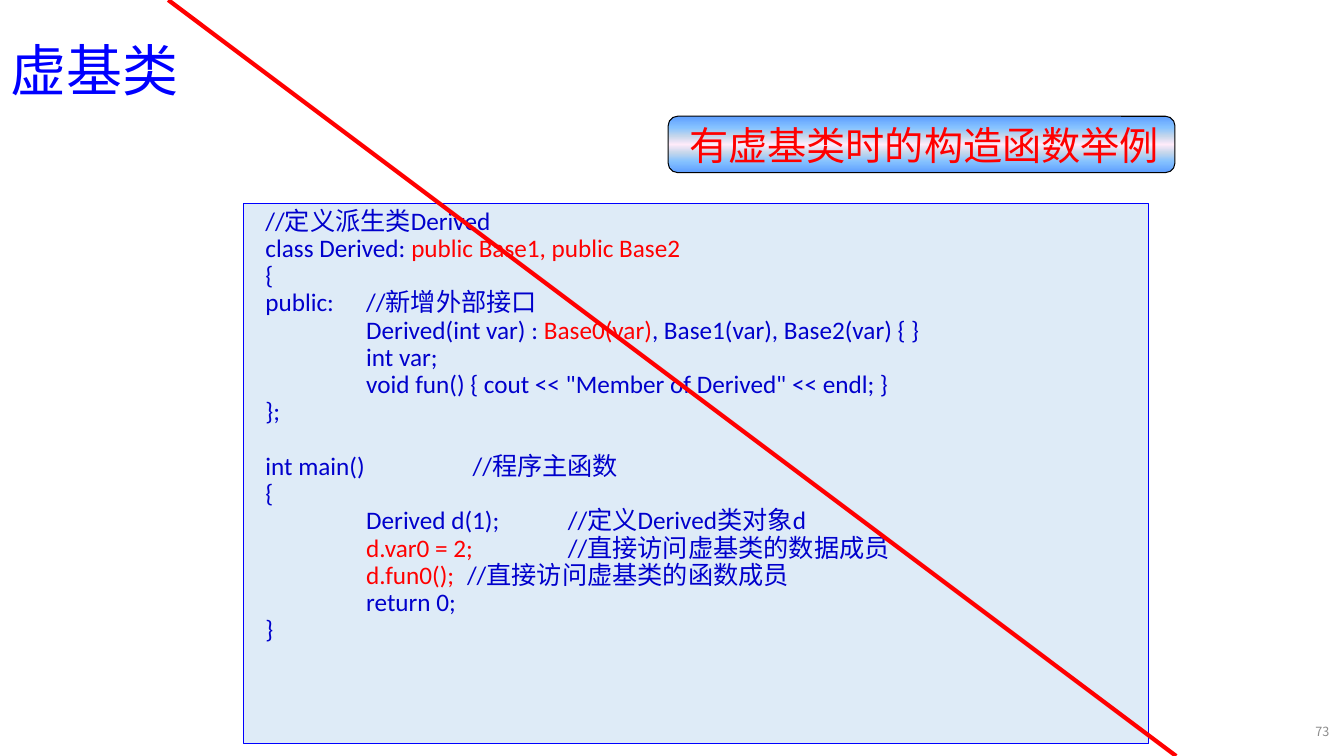
import pptx
import pptx.util
import pptx.dml.color
import pptx.enum.shapes
import pptx.enum.text
import pptx.oxml
import pptx.oxml.ns
from pptx.util import Cm

COLORS = {
    "title": "0000FF", "code": "0000CC", "accent": "FF0000",
    "panel": "DEEBF7", "border": "0000FF", "black": "000000", "number": "8C8C8C",
}
BANNER_STOPS = [(0, "5E9EFF"), (20, "85C2FF"), (35, "C4D6EB"), (50, "FFEBFA"),
                (65, "C4D6EB"), (80, "85C2FF"), (100, "5E9EFF")]
CJK_FONT = "Noto Sans CJK SC"
ALIGN = pptx.enum.text.PP_ALIGN
ANCHOR = pptx.enum.text.MSO_ANCHOR
SHAPE = pptx.enum.shapes.MSO_SHAPE


def rgb(name):
    return pptx.dml.color.RGBColor.from_string(COLORS[name])


def style_run(run, size, font, color):
    run.font.size = pptx.util.Pt(size)
    run.font.name = font
    run.font.color.rgb = rgb(color)
    east_asian = run.font._element.makeelement(
        pptx.oxml.ns.qn("a:ea"), {"typeface": CJK_FONT})
    run.font._element.append(east_asian)


deck = pptx.Presentation()
deck.slide_width, deck.slide_height = Cm(33.87), Cm(19.05)
slide = deck.slides.add_slide(deck.slide_layouts[6])

# Banner with a vertical gradient
banner = slide.shapes.add_shape(
    SHAPE.ROUNDED_RECTANGLE, Cm(16.84), Cm(2.93), Cm(12.77), Cm(1.42))
banner.shadow.inherit = False
banner.line.color.rgb = rgb("black")
banner.line.width = pptx.util.Pt(0.75)
banner.fill.gradient()
banner.fill.gradient_angle = 270
stop_list = banner._element.spPr.find(".//" + pptx.oxml.ns.qn("a:gsLst"))
for stop in list(stop_list):
    stop_list.remove(stop)
for percent, color in BANNER_STOPS:
    stop_list.append(pptx.oxml.parse_xml(
        f'<a:gs {pptx.oxml.ns.nsdecls("a")} pos="{percent * 1000}">'
        f'<a:srgbClr val="{color}"/></a:gs>'))

# Banner caption, title and slide number
labels = [
    ("有虚基类时的构造函数举例", (16.94, 2.92, 12.7, 1.14), 28, "Arial", "accent",
     ALIGN.CENTER, ANCHOR.TOP, 1),
    ("虚基类", (0.02, 0, 29.21, 3.68), 40, CJK_FONT, "title",
     ALIGN.LEFT, ANCHOR.MIDDLE, 0.9),
    ("73", (32.73, 17.93, 1.02, 1.02), 9, CJK_FONT, "number",
     ALIGN.RIGHT, ANCHOR.MIDDLE, 1),
]
for text, place, size, font, color, align, anchor, spacing in labels:
    frame = slide.shapes.add_textbox(*map(Cm, place)).text_frame
    frame.word_wrap = True
    frame.vertical_anchor = anchor
    frame.text = text
    frame.paragraphs[0].alignment = align
    frame.paragraphs[0].line_spacing = spacing
    style_run(frame.paragraphs[0].runs[0], size, font, color)

# Code panel: every second piece of a line is highlighted
code_lines = [
    ["//定义派生类Derived"],
    ["class Derived: ", "public Base1, public Base2"],
    ["{"],
    ["public:\t//新增外部接口"],
    ["\tDerived(int var) : ", "Base0(var)", ", Base1(var), Base2(var) { }"],
    ["\tint var;"],
    ["\tvoid fun() { cout << \"Member of Derived\" << endl; }"],
    ["};"],
    ["int main() \t //程序主函数"],
    ["{"],
    ["\tDerived d(1);\t//定义Derived类对象d"],
    ["\t", "d.var0 = 2;", "\t//直接访问虚基类的数据成员"],
    ["\t", "d.fun0();", "\t//直接访问虚基类的函数成员"],
    ["\treturn 0;"],
    ["}"],
]
panel = slide.shapes.add_shape(SHAPE.RECTANGLE, Cm(6.14), Cm(5.13), Cm(22.81), Cm(13.61))
panel.shadow.inherit = False
panel.fill.solid()
panel.fill.fore_color.rgb = rgb("panel")
panel.line.color.rgb = rgb("border")
panel.line.width = pptx.util.Pt(0.75)
code = panel.text_frame
code.word_wrap = True
code.vertical_anchor = ANCHOR.TOP
for index, pieces in enumerate(code_lines):
    line = code.paragraphs[0] if index == 0 else code.add_paragraph()
    layout = line._p.get_or_add_pPr()
    layout.set("marL", str(Cm(0.3)))
    layout.set("defTabSz", str(Cm(2.54)))
    line.alignment = ALIGN.LEFT
    line.line_spacing = 0.9
    if pieces[0].startswith("int main"):
        line.space_before = pptx.util.Pt(19.5)
    for position, piece in enumerate(pieces):
        run = line.add_run()
        run.text = piece
        style_run(run, 18, "Calibri", "accent" if position % 2 else "code")

# Diagonal strike across the slide
strike = slide.shapes.add_connector(
    pptx.enum.shapes.MSO_CONNECTOR.STRAIGHT, Cm(4.24), Cm(0), Cm(29.64), Cm(19.05))
strike.line.color.rgb = rgb("accent")
strike.line.width = pptx.util.Pt(3)
strike._element.spPr.append(
    pptx.oxml.parse_xml(f'<a:effectLst {pptx.oxml.ns.nsdecls("a")}/>'))

deck.save("out.pptx")
